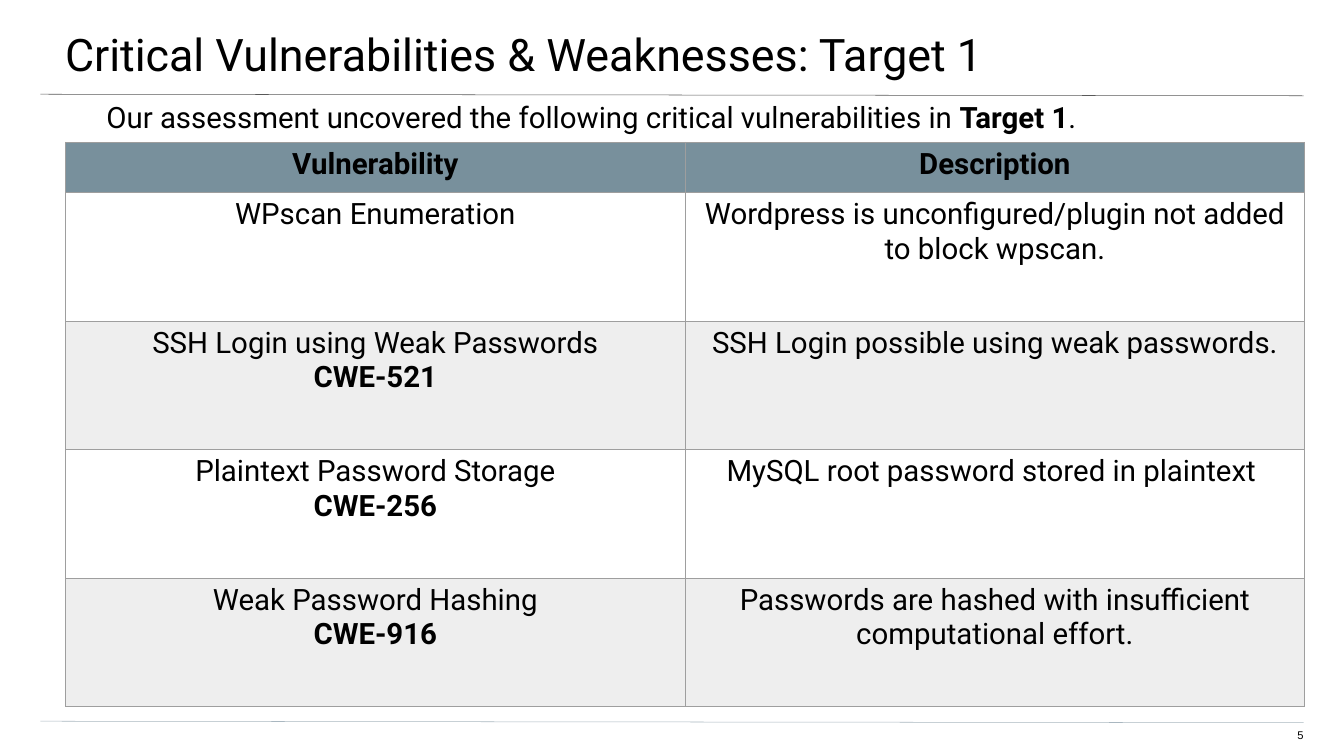
import pptx
import pptx.dml.color
import pptx.enum.shapes
import pptx.enum.text
import pptx.oxml
import pptx.oxml.ns
import pptx.util
from lxml import etree

Inches = pptx.util.Inches
ALIGN = pptx.enum.text.PP_ALIGN

# Header titles, then (name, weakness code, description) for each finding
HEADER = ["Vulnerability", "Description"]
FINDINGS = [
    ("WPscan Enumeration", None,
     "Wordpress is unconfigured/plugin not added to block wpscan."),
    ("SSH Login using Weak Passwords", "CWE-521",
     "SSH Login possible using weak passwords."),
    ("Plaintext Password Storage", "CWE-256",
     "MySQL root password stored in plaintext "),
    ("Weak Password Hashing", "CWE-916",
     "Passwords are hashed with insufficient computational effort."),
]


def color(value):
    return pptx.dml.color.RGBColor.from_string(value)


def add_runs(p, runs, size, font="Roboto", align=ALIGN.LEFT):
    """Write (text, bold) runs; None stands for a line break."""
    p.alignment = align
    for run in runs:
        if run is None:
            p.add_line_break()
            continue
        r = p.add_run()
        r.text, bold = run
        style = {"name": font, "size": pptx.util.Pt(size), "bold": bold}
        for key, value in style.items():
            setattr(r.font, key, value)
        r.font.color.rgb = color("000000")


def set_margins(target, margins):
    for side, value in zip(("left", "top", "right", "bottom"), margins):
        setattr(target, f"margin_{side}", Inches(value))


def add_text(s, box, margins, runs, size, **style):
    tf = s.shapes.add_textbox(*map(Inches, box)).text_frame
    tf.word_wrap = True
    tf.auto_size = pptx.enum.text.MSO_AUTO_SIZE.NONE
    tf.vertical_anchor = pptx.enum.text.MSO_ANCHOR.TOP
    set_margins(tf, margins)
    add_runs(tf.paragraphs[0], runs, size, **style)


def add_rule(s, y, line_color):
    line = s.shapes.add_connector(
        pptx.enum.shapes.MSO_CONNECTOR.STRAIGHT,
        Inches(0.8), Inches(y), Inches(25.86), Inches(y + 0.03))
    line.line.color.rgb = color(line_color)
    line.line.width = pptx.util.Pt(0.75)
    etree.SubElement(line._element.spPr, pptx.oxml.ns.qn("a:effectLst"))


def add_borders(cell, line_color, points):
    tc_pr = cell._tc.get_or_add_tcPr()
    for side in "LRTB":
        tc_pr.append(pptx.oxml.parse_xml(
            f'<a:ln{side} {pptx.oxml.ns.nsdecls("a")} w="{pptx.util.Pt(points)}">'
            f'<a:solidFill><a:srgbClr val="{line_color}"/></a:solidFill>'
            f'</a:ln{side}>'))


def fill_cell(cell, runs, fill):
    set_margins(cell, [0.1] * 4)
    add_borders(cell, "9E9E9E", 0.75)
    if fill:
        cell.fill.solid()
        cell.fill.fore_color.rgb = color(fill)
    else:
        cell.fill.background()
    add_runs(cell.text_frame.paragraphs[0], runs, 42, align=ALIGN.CENTER)


def add_findings_table(s):
    rows = [[[(title, True)] for title in HEADER]]
    for name, cwe, description in FINDINGS:
        name_runs = [(name, False)]
        if cwe:
            name_runs += [None, (cwe, True)]
        rows.append([name_runs, [(description, False)]])

    heights = [1] + [2.55] * len(FINDINGS)
    width = 12.29
    table = s.shapes.add_table(
        len(rows), len(HEADER), Inches(1.3), Inches(2.82),
        Inches(width * len(HEADER)), Inches(sum(heights))).table
    table.first_row = table.horz_banding = False
    for column in table.columns:
        column.width = Inches(width)
    for i, (row, height) in enumerate(zip(rows, heights)):
        table.rows[i].height = Inches(height)
        fill = "78909C" if i == 0 else "EEEEEE" if i % 2 == 0 else None
        for j, runs in enumerate(row):
            fill_cell(table.cell(i, j), runs, fill)


def main():
    prs = pptx.Presentation()
    prs.slide_width, prs.slide_height = Inches(26.66), Inches(15)
    s = prs.slides.add_slide(prs.slide_layouts[6])

    # Rules above and below the content
    add_rule(s, 1.87, "595959")
    add_rule(s, 14.31, "A9B7C0")

    # Title, page number and introduction
    add_text(s, (-0.04, 0, 26.73, 1.56), (1.33, 0.53, 0.8, 0),
             [("Critical Vulnerabilities & Weaknesses: Target 1", False)], 64)
    add_text(s, (25.1, 14.46, 0.76, 0.31), (0, 0, 0, 0),
             [("5", False)], 16, font="Arial", align=ALIGN.RIGHT)
    add_text(s, (0.78, 1.97, 25.09, 10.79), (1.33, 0, 1.33, 0),
             [("Our assessment uncovered the following critical "
               "vulnerabilities in ", False), ("Target 1", True), (".", False)], 42)

    # Vulnerability table
    add_findings_table(s)

    prs.save("out.pptx")


if __name__ == "__main__":
    main()
